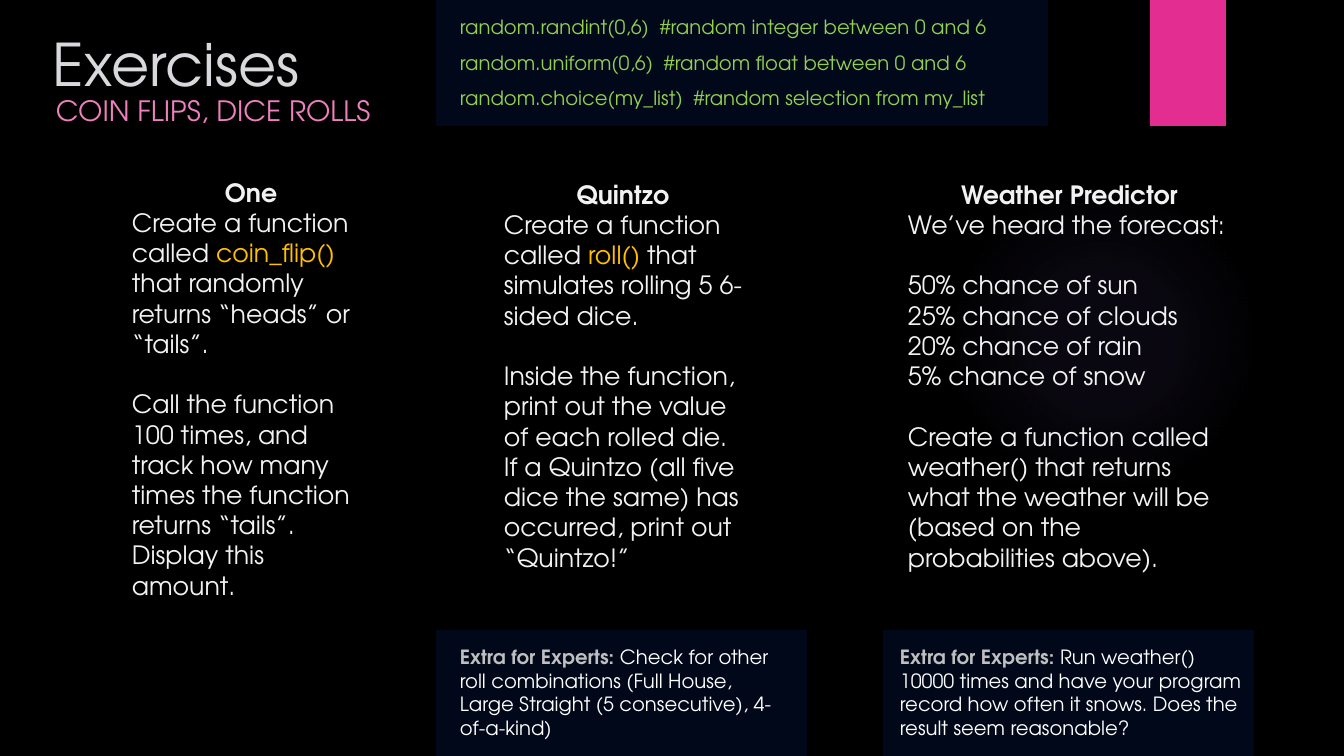
from lxml import etree
from pptx import Presentation
from pptx.dml.color import RGBColor
from pptx.enum.shapes import MSO_SHAPE
from pptx.enum.text import MSO_ANCHOR, PP_ALIGN
from pptx.oxml import parse_xml
from pptx.oxml.ns import nsdecls, qn
from pptx.util import Emu, Pt

EMU_PER_PX = 914400 / 100.8
FONT = "TeX Gyre Adventor"

BLACK = RGBColor(0x00, 0x00, 0x00)
WHITE = RGBColor(0xFF, 0xFF, 0xFF)
TITLE_GRAY = RGBColor(0xD8, 0xD9, 0xDC)
BODY_GRAY = RGBColor(0xF2, 0xF2, 0xF2)
LABEL_GRAY = RGBColor(0xBF, 0xBF, 0xBF)
PINK = RGBColor(0xE3, 0x2D, 0x91)
LIGHT_PINK = RGBColor(0xEE, 0x81, 0xBD)
NAVY = RGBColor(0x00, 0x20, 0x60)
VIOLET = RGBColor(0x89, 0x71, 0xE1)
AMBER = RGBColor(0xFF, 0xC0, 0x00)
GREEN = RGBColor(0x92, 0xD0, 0x50)

BODY_SIZE = 18
BODY_GAP = 21.6  # one body line
CODE_GAP = 8.6
EXTRA_LABEL = "Extra for Experts: "

# Each column: box in px, heading, paragraphs of (space before, runs)
COLUMNS = [
    ((122, 172, 258, 437), "One", [
        (0, [("Create a function called ", BODY_GRAY), ("coin_flip() ", AMBER),
             ("that randomly returns “heads” or “tails”.", BODY_GRAY)]),
        (BODY_GAP, [("Call the function 100 times, and track how many times the "
                     "function returns “tails”. Display this amount.", BODY_GRAY)]),
    ]),
    ((494, 174, 258, 407), "Quintzo", [
        (0, [("Create a function called ", BODY_GRAY), ("roll() ", AMBER),
             ("that simulates rolling 5 6-sided dice.", BODY_GRAY)]),
        (BODY_GAP, [("Inside the function, print out the value of each rolled die. "
                     "If a Quintzo (all five dice the same) has occurred, "
                     "print out “Quintzo!”", BODY_GRAY)]),
    ]),
    ((898, 174, 343, 407), "Weather Predictor", [
        (0, [("We’ve heard the forecast:", BODY_GRAY)]),
        (BODY_GAP, [("50% chance of sun", BODY_GRAY)]),
        (0, [("25% chance of clouds", BODY_GRAY)]),
        (0, [("20% chance of rain", BODY_GRAY)]),
        (0, [("5% chance of snow", BODY_GRAY)]),
        (BODY_GAP, [("Create a function called weather() that returns what the weather "
                     "will be (based on the probabilities above).", BODY_GRAY)]),
    ]),
]

# Each extra: panel left, text left, text width, wording
EXTRAS = [
    (436, 450, 344, "Check for other roll combinations (Full House, "
                    "Large Straight (5 consecutive), 4-of-a-kind)"),
    (883, 890, 375, "Run weather() 10000 times and have your program record "
                    "how often it snows. Does the result seem reasonable?"),
]

CODE_LINES = [
    "random.randint(0,6)  #random integer between 0 and 6",
    "random.uniform(0,6)  #random float between 0 and 6",
    "random.choice(my_list)  #random selection from my_list",
]


def px(length):
    return Emu(round(length * EMU_PER_PX))


def add_block(slide, kind, box, color):
    shape = slide.shapes.add_shape(kind, *map(px, box))
    shape.shadow.inherit = False
    shape.fill.solid()
    shape.fill.fore_color.rgb = color
    shape.line.fill.background()
    return shape


def add_panel(slide, box):
    shape = add_block(slide, MSO_SHAPE.RECTANGLE, box, NAVY)
    color = shape._element.spPr.find(qn("a:solidFill"))[0]
    etree.SubElement(color, qn("a:alpha"), val="28000")


def add_glow(slide, box):
    shape = add_block(slide, MSO_SHAPE.OVAL, box, VIOLET)
    stops = "".join(
        f'<a:gs pos="{position}000"><a:srgbClr val="{VIOLET}">'
        f'<a:alpha val="{alpha}000"/></a:srgbClr></a:gs>'
        for position, alpha in [(0, 7), (36, 6), (69, 0)])
    gradient = parse_xml(
        f'<a:gradFill {nsdecls("a")}><a:gsLst>{stops}</a:gsLst><a:path path="circle">'
        '<a:fillToRect l="50000" t="50000" r="50000" b="50000"/></a:path></a:gradFill>')
    properties = shape._element.spPr
    properties.replace(properties.find(qn("a:solidFill")), gradient)


def add_ribbon(slide, box):
    shape = add_block(slide, MSO_SHAPE.RECTANGLE, box, PINK)
    shadow = parse_xml(
        f'<a:outerShdw {nsdecls("a")} blurRad="38100" dist="25400" dir="5400000">'
        f'<a:srgbClr val="{BLACK}"><a:alpha val="45000"/></a:srgbClr></a:outerShdw>')
    shape._element.spPr.find(qn("a:effectLst")).append(shadow)


def add_run(paragraph, text, size, color, bold=False):
    run = paragraph.add_run()
    run.text = text
    run.font.name = FONT
    run.font.size = Pt(size)
    run.font.bold = bold
    run.font.color.rgb = color


def add_text(slide, box, size, paragraphs):
    """Paragraphs are (space before, alignment, [(text, color, bold)])."""
    frame = slide.shapes.add_textbox(*map(px, box)).text_frame
    frame.word_wrap = True
    frame.vertical_anchor = MSO_ANCHOR.TOP
    for index, (gap, alignment, runs) in enumerate(paragraphs):
        paragraph = frame.add_paragraph() if index else frame.paragraphs[0]
        paragraph.alignment = alignment
        if gap:
            paragraph.space_before = Pt(gap)
        for text, color, bold in runs:
            add_run(paragraph, text, size, color, bold)


def add_line(slide, box, size, text, color):
    add_text(slide, box, size, [(0, PP_ALIGN.LEFT, [(text, color, False)])])


def add_column(slide, box, heading, body):
    paragraphs = [(0, PP_ALIGN.CENTER, [(heading, BODY_GRAY, True)])]
    for gap, runs in body:
        plain_runs = [(text, color, False) for text, color in runs]
        paragraphs.append((gap, PP_ALIGN.LEFT, plain_runs))
    add_text(slide, box, BODY_SIZE, paragraphs)


def add_extra(slide, panel_left, text_left, text_width, text):
    add_panel(slide, (panel_left, 630, 371, 126))
    runs = [(EXTRA_LABEL, LABEL_GRAY, True), (text, WHITE, False)]
    add_text(slide, (text_left, 640, text_width, 105), 14, [(0, PP_ALIGN.LEFT, runs)])


def add_code(slide):
    add_panel(slide, (436, 0, 612, 126))
    paragraphs = [(CODE_GAP if index else 0, PP_ALIGN.LEFT, [(line, GREEN, False)])
                  for index, line in enumerate(CODE_LINES)]
    add_text(slide, (450, 10, 567, 105), 14, paragraphs)


def main():
    presentation = Presentation()
    presentation.slide_width = px(1344)
    presentation.slide_height = px(756)
    slide = presentation.slides.add_slide(presentation.slide_layouts[6])

    # Backdrop
    slide.background.fill.solid()
    slide.background.fill.fore_color.rgb = BLACK
    add_glow(slide, (949, 184, 310, 310))
    add_ribbon(slide, (1150, 0, 76, 126))

    # Heading
    add_line(slide, (43, 23, 380, 105), 42, "Exercises", TITLE_GRAY)
    add_line(slide, (46, 89, 380, 95), 20, "COIN FLIPS, DICE ROLLS", LIGHT_PINK)

    # Exercises, extras and code hints
    for column in COLUMNS:
        add_column(slide, *column)
    for extra in EXTRAS:
        add_extra(slide, *extra)
    add_code(slide)

    presentation.save("out.pptx")


if __name__ == "__main__":
    main()
